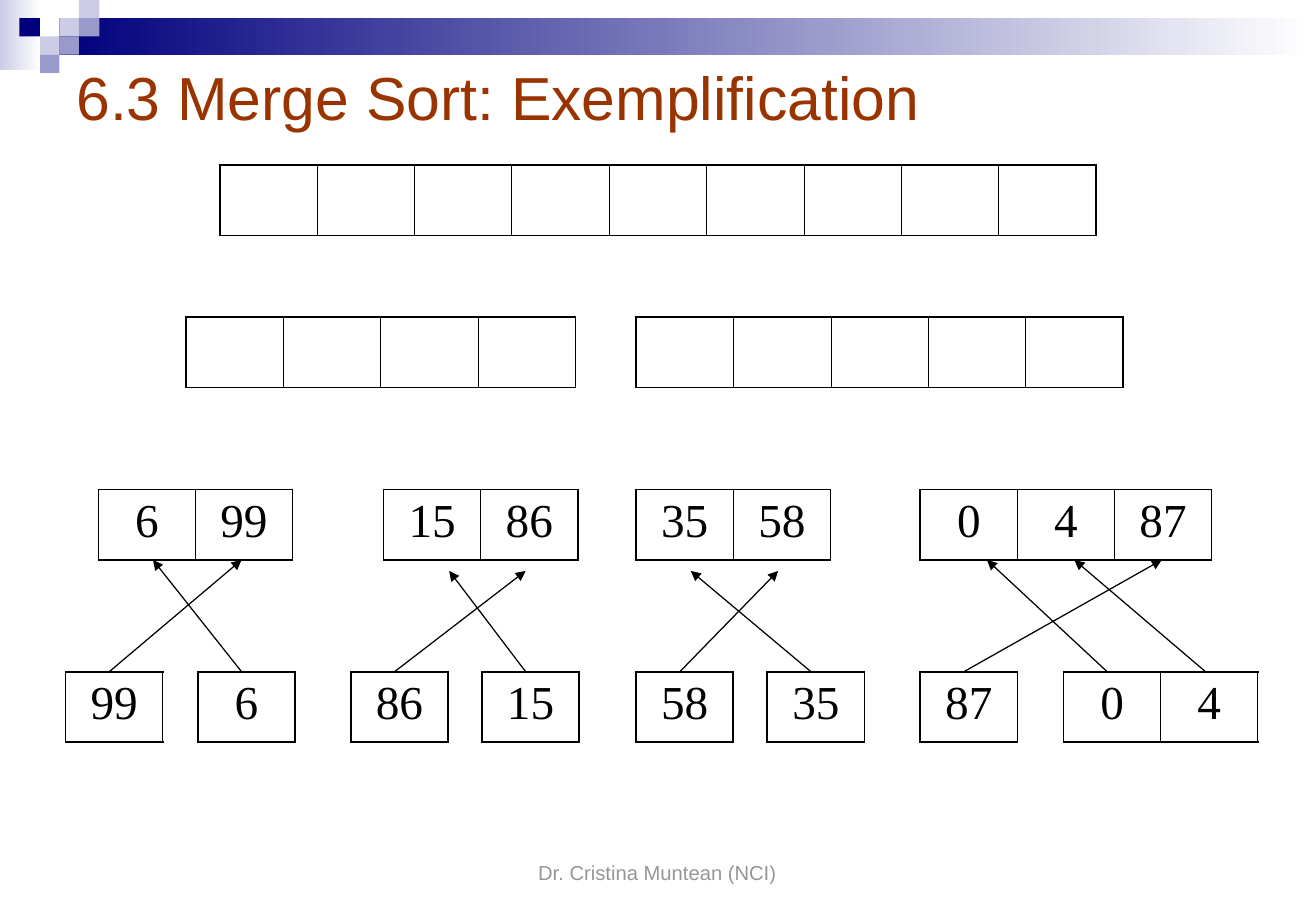
from dataclasses import dataclass

import lxml.etree
import pptx
import pptx.dml.color
import pptx.enum.shapes
import pptx.enum.text
import pptx.oxml.ns
import pptx.slide
import pptx.util

RGB = pptx.dml.color.RGBColor
ALIGN = pptx.enum.text.PP_ALIGN
ANCHOR = pptx.enum.text.MSO_ANCHOR
qn = pptx.oxml.ns.qn

NAVY = RGB(0x00, 0x00, 0x7D)
LILAC = RGB(0xCC, 0xCC, 0xE6)
VIOLET = RGB(0x99, 0x99, 0xCC)
WHITE = RGB(0xFF, 0xFF, 0xFF)
BLACK = RGB(0x00, 0x00, 0x00)
RUST = RGB(0x99, 0x33, 0x00)
GREY = RGB(0x96, 0x96, 0x96)

EMU_PER_PX = 9144
SLIDE_W, SLIDE_H = 1084, 750
GRID_X = (0, 16, 33, 49, 65, 82)
GRID_Y = (0, 15, 30, 45, 60)
ROW_H = 58
FOUR_CELLS_W = 321
FULL_Y, HALF_Y, MERGED_Y, SPLIT_Y = 136, 261, 403, 553
OUTER_PT, INNER_PT = 1.08, 0.45


@dataclass(frozen=True)
class Band:
    x: int
    y: int
    w: int
    h: int
    start: RGB


@dataclass(frozen=True)
class Square:
    col: int
    row: int
    color: RGB


@dataclass(frozen=True)
class Array:
    x: int
    y: int
    values: tuple[str, ...]


@dataclass(frozen=True)
class Arrow:
    x1: int
    x2: int
    y2: int


@dataclass(frozen=True)
class Label:
    x: int
    y: int
    w: int
    h: int
    text: str
    size: int
    color: RGB
    align: ALIGN
    anchor: ANCHOR


BANDS = (Band(0, 0, 34, 58, LILAC), Band(49, 15, 1034, 30, NAVY))

SQUARES = (
    Square(3, 1, LILAC),
    Square(4, 0, LILAC),
    Square(4, 1, VIOLET),
    Square(2, 2, LILAC),
    Square(1, 1, NAVY),
    Square(3, 2, VIOLET),
    Square(2, 3, VIOLET),
)

ARRAYS = (
    Array(181, FULL_Y, ("",) * 9),
    Array(153, HALF_Y, ("",) * 4),
    Array(524, HALF_Y, ("",) * 5),
    Array(81, MERGED_Y, ("6", "99")),
    Array(316, MERGED_Y, ("15", "86")),
    Array(524, MERGED_Y, ("35", "58")),
    Array(758, MERGED_Y, ("0", "4", "87")),
    Array(54, SPLIT_Y, ("99",)),
    Array(163, SPLIT_Y, ("6",)),
    Array(289, SPLIT_Y, ("86",)),
    Array(397, SPLIT_Y, ("15",)),
    Array(524, SPLIT_Y, ("58",)),
    Array(632, SPLIT_Y, ("35",)),
    Array(758, SPLIT_Y, ("87",)),
    Array(876, SPLIT_Y, ("0", "4")),
)

ARROWS = (
    Arrow(993, 885, 461),
    Arrow(794, 957, 461),
    Arrow(912, 813, 461),
    Arrow(668, 569, 470),
    Arrow(560, 641, 470),
    Arrow(433, 370, 470),
    Arrow(325, 433, 470),
    Arrow(199, 126, 461),
    Arrow(90, 199, 461),
)

LABELS = (
    Label(53, 36, 975, 87, "6.3 Merge Sort: Exemplification", 36, RUST, ALIGN.LEFT, ANCHOR.MIDDLE),
    Label(370, 683, 343, 50, "Dr. Cristina Muntean (NCI)", 12, GREY, ALIGN.CENTER, ANCHOR.BOTTOM),
)


def px(n: int) -> pptx.util.Emu:
    return pptx.util.Emu(n * EMU_PER_PX)


def add_rect(s: pptx.slide.Slide, x: int, y: int, w: int, h: int):
    sp = s.shapes.add_shape(pptx.enum.shapes.MSO_SHAPE.RECTANGLE, px(x), px(y), px(w), px(h))
    sp.shadow.inherit = False
    sp.line.fill.background()
    return sp


def draw_band(s: pptx.slide.Slide, band: Band) -> None:
    sp = add_rect(s, band.x, band.y, band.w, band.h)
    sp.fill.gradient()
    sp.fill.gradient_angle = 0
    for stop, color in zip(sp.fill.gradient_stops, (band.start, WHITE)):
        stop.color.rgb = color


def draw_square(s: pptx.slide.Slide, square: Square) -> None:
    x, right = GRID_X[square.col:square.col + 2]
    y, bottom = GRID_Y[square.row:square.row + 2]
    sp = add_rect(s, x, y, right - x, bottom - y)
    sp.fill.solid()
    sp.fill.fore_color.rgb = square.color


def add_text(p, text: str, font: str, size: int, color: RGB, align: ALIGN) -> None:
    p.alignment = align
    r = p.add_run()
    r.text = text
    r.font.name = font
    r.font.size = pptx.util.Pt(size)
    r.font.color.rgb = color


def set_border(cell, side: str, width: float) -> None:
    tc_pr = cell._tc.get_or_add_tcPr()
    ln = lxml.etree.SubElement(tc_pr, qn(f"a:ln{side}"), w=str(int(pptx.util.Pt(width))))
    fill = lxml.etree.SubElement(ln, qn("a:solidFill"))
    lxml.etree.SubElement(fill, qn("a:srgbClr"), val=str(BLACK))


def draw_array(s: pptx.slide.Slide, array: Array) -> None:
    count = len(array.values)
    width = count * FOUR_CELLS_W // 4
    frame = s.shapes.add_table(1, count, px(array.x), px(array.y), px(width), px(ROW_H))
    table = frame.table
    table.first_row = table.horz_banding = False
    for i, value in enumerate(array.values):
        cell = table.cell(0, i)
        set_border(cell, "L", OUTER_PT if i == 0 else INNER_PT)
        set_border(cell, "R", OUTER_PT if i == count - 1 else INNER_PT)
        set_border(cell, "T", OUTER_PT)
        set_border(cell, "B", OUTER_PT)
        cell.fill.background()
        if value:
            add_text(cell.text_frame.paragraphs[0], value, "Times New Roman", 28, BLACK, ALIGN.CENTER)


def draw_arrow(s: pptx.slide.Slide, arrow: Arrow) -> None:
    line = s.shapes.add_connector(
        pptx.enum.shapes.MSO_CONNECTOR.STRAIGHT, px(arrow.x1), px(SPLIT_Y), px(arrow.x2), px(arrow.y2)
    )
    line.line.color.rgb = BLACK
    line.line.width = pptx.util.Pt(0.75)
    lxml.etree.SubElement(line.line._get_or_add_ln(), qn("a:tailEnd"), type="triangle")
    lxml.etree.SubElement(line._element.spPr, qn("a:effectLst"))


def draw_label(s: pptx.slide.Slide, label: Label) -> None:
    tf = s.shapes.add_textbox(px(label.x), px(label.y), px(label.w), px(label.h)).text_frame
    tf.word_wrap = True
    tf.vertical_anchor = label.anchor
    add_text(tf.paragraphs[0], label.text, "Arial", label.size, label.color, label.align)


def main() -> None:
    prs = pptx.Presentation()
    prs.slide_width, prs.slide_height = px(SLIDE_W), px(SLIDE_H)
    s = prs.slides.add_slide(prs.slide_layouts[6])
    for draw, items in (
        (draw_band, BANDS),
        (draw_square, SQUARES),
        (draw_array, ARRAYS),
        (draw_arrow, ARROWS),
        (draw_label, LABELS),
    ):
        for item in items:
            draw(s, item)
    prs.save("out.pptx")


if __name__ == "__main__":
    main()
